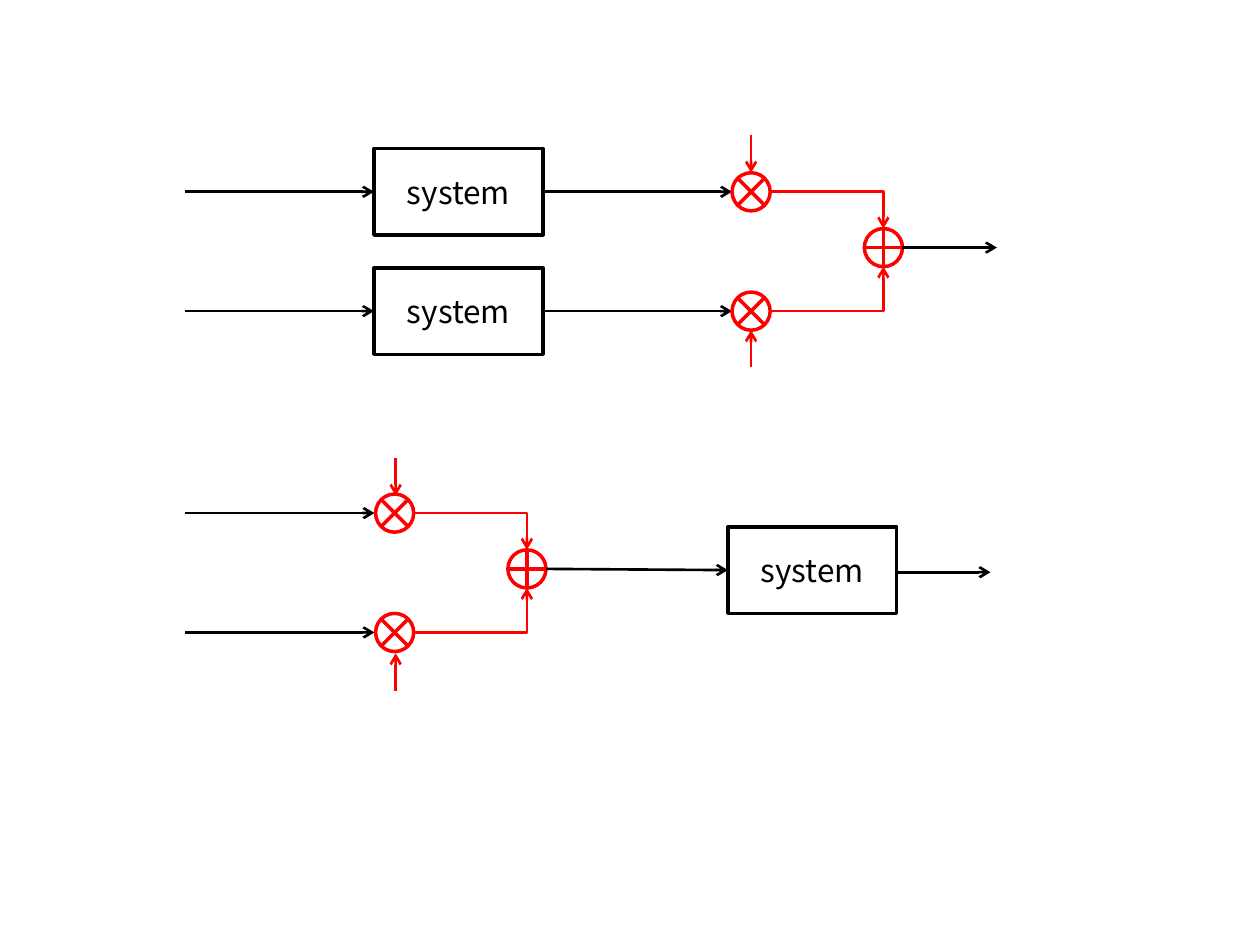
import pptx
import pptx.util
import pptx.dml.color
import pptx.enum.shapes
import pptx.enum.text
import pptx.oxml
import pptx.oxml.ns

Pt = pptx.util.Pt
KINDS = pptx.enum.shapes.MSO_SHAPE
LINKS = pptx.enum.shapes.MSO_CONNECTOR
BLACK = pptx.dml.color.RGBColor(0, 0, 0)
WHITE = pptx.dml.color.RGBColor(255, 255, 255)
RED = pptx.dml.color.RGBColor(255, 0, 0)
FONT = "Noto Sans CJK KR"

BOX_W, BOX_H = 96.5, 49.5
NODE = 21.8
R = NODE / 2
ROW_GAP = 68.2
SUM_DX, SUM_DY = 75.6, 31.9
START, STOP = 106, 214
STEM = 21.3


def add_shape(slide, kind, x, y, w, h, color):
    """Add a white outlined shape centred on (x, y)."""
    shape = slide.shapes.add_shape(kind, Pt(x - w / 2), Pt(y - h / 2), Pt(w), Pt(h))
    shape.shadow.inherit = False
    shape.fill.solid()
    shape.fill.fore_color.rgb = WHITE
    shape.line.color.rgb = color
    shape.line.width = Pt(2)
    return shape


def add_system(slide, x, y):
    box = add_shape(slide, KINDS.RECTANGLE, x, y, BOX_W, BOX_H, BLACK)
    frame = box.text_frame
    frame.text = "system"
    frame.vertical_anchor = pptx.enum.text.MSO_ANCHOR.MIDDLE
    line = frame.paragraphs[0]
    line.alignment = pptx.enum.text.PP_ALIGN.CENTER
    font = line.runs[0].font
    font.name, font.size, font.color.rgb = FONT, Pt(18), BLACK
    return box


def add_arrow(slide, x1, y1, x2, y2, color=BLACK, bent=False):
    """Add an arrow; a bent one runs across first, then up or down."""
    kind = LINKS.ELBOW if bent else LINKS.STRAIGHT
    arrow = slide.shapes.add_connector(kind, Pt(x1), Pt(y1), Pt(x2), Pt(y2))
    arrow.line.color.rgb = color
    arrow.line.width = Pt(1.5)
    props = arrow._element.spPr
    if bent:
        props.find(pptx.oxml.ns.qn("a:prstGeom")).set("prst", "bentConnector2")
    space = pptx.oxml.ns.nsdecls("a")
    arrow.line._get_or_add_ln().append(
        pptx.oxml.parse_xml(f'<a:tailEnd {space} type="arrow"/>'))
    props.append(pptx.oxml.parse_xml(f"<a:effectLst {space}/>"))
    return arrow


def add_mixer(slide, x, top, dx=0, dy=0):
    """Add two weighted inputs and their sum; dx and dy shift the weights."""
    low = top + ROW_GAP
    sum_x, sum_y = x + SUM_DX, top + SUM_DY
    for y, side in ((top, -1), (low, 1)):
        add_shape(slide, KINDS.FLOWCHART_SUMMING_JUNCTION, x, y, NODE, NODE, RED)
        tip = y + side * R + dy
        add_arrow(slide, x + dx, tip + side * STEM, x + dx, tip, RED)
        add_arrow(slide, x + R, y, sum_x, sum_y + side * R, RED, bent=True)
    add_shape(slide, KINDS.FLOWCHART_OR, sum_x, sum_y, NODE, NODE, RED)
    return sum_x + R, sum_y


def draw_upper(slide):
    """Systems first, then the weighted sum."""
    top, x = 109.6, 429.2
    for y in (top, top + ROW_GAP):
        box = add_system(slide, 262, y)
        add_arrow(slide, START, y, STOP, y).end_connect(box, 1)
        add_arrow(slide, 310, y, x - R, y).begin_connect(box, 3)
    out, y = add_mixer(slide, x, top)
    add_arrow(slide, out, y, out + 54, y)


def draw_lower(slide):
    """Weighted sum first, then one system."""
    top = 293.2
    for y in (top, top + ROW_GAP):
        add_arrow(slide, START, y, STOP, y)
    out, y = add_mixer(slide, 225.5, top, dx=0.6, dy=1)
    box = add_system(slide, 464.2, 325.8)
    add_arrow(slide, out, y, 416, 325.8).end_connect(box, 1)
    add_arrow(slide, 512, 327, 566, 327)


def main():
    deck = pptx.Presentation()
    deck.slide_width, deck.slide_height = Pt(720), Pt(540)
    slide = deck.slides.add_slide(deck.slide_layouts[6])
    draw_upper(slide)
    draw_lower(slide)
    deck.save("out.pptx")


if __name__ == "__main__":
    main()
